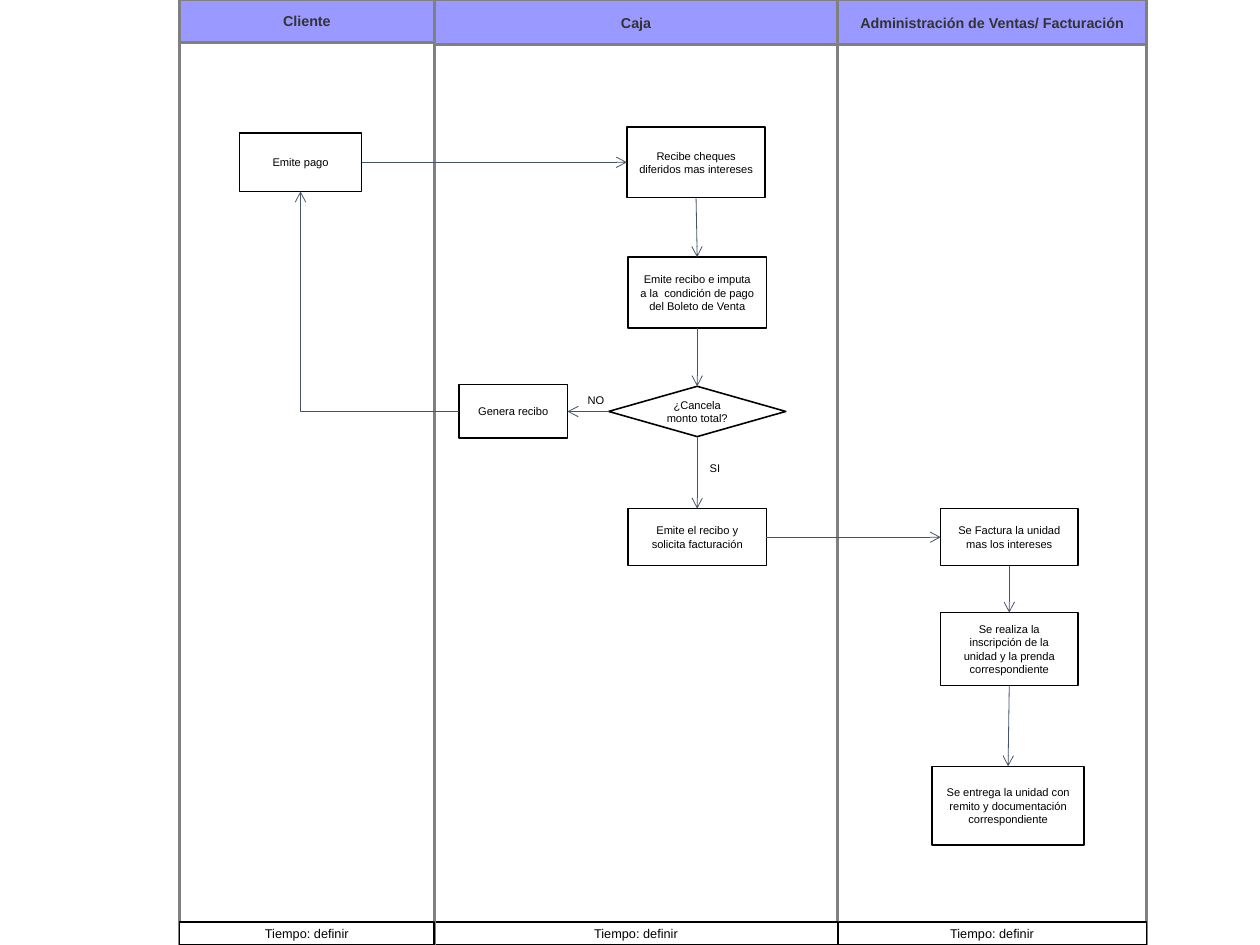
from pptx import Presentation
from pptx.dml.color import RGBColor
from pptx.enum.shapes import MSO_CONNECTOR, MSO_SHAPE
from pptx.enum.text import MSO_ANCHOR, PP_ALIGN
from pptx.oxml.ns import qn
from pptx.util import Cm, Inches, Pt
from lxml.etree import SubElement

WIDE, HIGH = Cm(28), Cm(21)
BLACK = RGBColor(0, 0, 0)
WHITE = RGBColor(255, 255, 255)
GRAY = RGBColor(0x80, 0x80, 0x80)
DARK = RGBColor(0x33, 0x33, 0x33)
LILAC = RGBColor(0x99, 0x99, 0xFF)
SLATE = RGBColor(0x44, 0x54, 0x6A)

# Lane: title, left, right, header height
LANES = [
    ("Administración de Ventas/ Facturación", 7.33, 10.03, 0.39),
    ("Caja", 3.8, 7.33, 0.39),
    ("Cliente", 1.57, 3.8, 0.37),
]
TIME, FOOT = "Tiempo: definir", 0.2

# Centre lines of the step grid
COLS = {"client": 2.63, "receipt": 4.49, "checks": 6.09, "cash": 6.1,
        "sales": 8.83, "exit": 8.82}
ROWS = [1.42, 2.56, 3.6, 4.7, 5.68, 7.05]

# Step: text, column, row, width, height
STEPS = {
    "pay": ("Emite pago", "client", 0, 1.07, 0.51),
    "checks": ("Recibe cheques diferidos mas intereses", "checks", 0, 1.21, 0.62),
    "post": ("Emite recibo e imputa a la  condición de pago del Boleto de Venta",
             "cash", 1, 1.21, 0.62),
    "choice": ("¿Cancela monto total?", "cash", 2, 1.55, 0.44),
    "receipt": ("Genera recibo", "receipt", 2, 0.95, 0.47),
    "request": ("Emite el recibo y solicita facturación", "cash", 3, 1.21, 0.5),
    "bill": ("Se Factura la unidad mas los intereses", "sales", 3, 1.2, 0.5),
    "enroll": ("Se realiza la inscripción de la unidad y la prenda correspondiente",
               "sales", 4, 1.2, 0.64),
    "deliver": ("Se entrega la unidad con remito y documentación correspondiente",
                "exit", 5, 1.33, 0.69),
}

TOP, LEFT, BOTTOM, RIGHT = range(4)
LINKS = [
    ("pay", RIGHT, "checks", LEFT),
    ("checks", BOTTOM, "post", TOP),
    ("post", BOTTOM, "choice", TOP),
    ("choice", LEFT, "receipt", RIGHT),
    ("choice", BOTTOM, "request", TOP),
    ("receipt", LEFT, "pay", BOTTOM),
    ("request", RIGHT, "bill", LEFT),
    ("bill", BOTTOM, "enroll", TOP),
    ("enroll", BOTTOM, "deliver", TOP),
]
# Label: text, left, top, width, height
LABELS = [("SI", 6.11, 3.99, 0.29, 0.2), ("NO", 5, 3.39, 0.43, 0.2)]

STEP = {"size": Pt(7), "bold": False, "name": "Arial"}
TIMES = {**STEP, "size": Pt(8)}
HEAD = {**STEP, "size": Pt(9), "bold": True}
TIGHT = {"margin_left": Inches(0.08), "margin_right": Inches(0.08),
         "margin_top": 0, "margin_bottom": 0}


def write(shape, text, style, color=BLACK, anchor=MSO_ANCHOR.MIDDLE):
    frame = shape.text_frame
    frame.word_wrap = True
    frame.vertical_anchor = anchor
    para = frame.paragraphs[0]
    para.alignment = PP_ALIGN.CENTER
    run = para.add_run()
    run.text = text
    for key, value in style.items():
        setattr(run.font, key, value)
    run.font.color.rgb = color


def draw(shapes, kind, box, fill, line, width):
    shape = shapes.add_shape(kind, *map(Inches, box))
    shape.shadow.inherit = False
    if fill is None:
        shape.fill.background()
    else:
        shape.fill.solid()
        shape.fill.fore_color.rgb = fill
    shape.line.color.rgb = line
    shape.line.width = Pt(width)
    return shape


def add_lane(shapes, title, left, right, head):
    rect, width, high = MSO_SHAPE.RECTANGLE, right - left, HIGH.inches
    bar = draw(shapes, rect, (left, 0, width, head), LILAC, GRAY, 1.7)
    write(bar, title, HEAD, DARK)
    draw(shapes, rect, (left, 0, width, high), None, GRAY, 1.7)
    foot = draw(shapes, rect, (left, high - FOOT, width, FOOT), WHITE, BLACK, 1)
    write(foot, TIME, TIMES)


def add_step(shapes, name, text, col, row, width, height):
    kind = MSO_SHAPE.DIAMOND if name == "choice" else MSO_SHAPE.RECTANGLE
    box = (COLS[col] - width / 2, ROWS[row] - height / 2, width, height)
    shape = draw(shapes, kind, box, WHITE, BLACK, 1)
    write(shape, text, STEP)
    if name == "choice":
        for key, value in TIGHT.items():
            setattr(shape.text_frame, key, value)
    return shape


def link(shapes, start, out, end, into):
    """Join two steps; a change of direction gives a single-bend elbow."""
    bent = out % 2 != into % 2
    kind = MSO_CONNECTOR.ELBOW if bent else MSO_CONNECTOR.STRAIGHT
    line = shapes.add_connector(kind, 0, 0, 0, 0)
    line.begin_connect(start, out)
    line.end_connect(end, into)
    line.line.color.rgb = SLATE
    line.line.width = Pt(0.5)
    props = line._element.spPr
    if bent:
        props.find(qn("a:prstGeom")).set("prst", "bentConnector2")
    SubElement(props.find(qn("a:ln")), qn("a:tailEnd"), type="arrow")
    SubElement(props, qn("a:effectLst"))


def main():
    deck = Presentation()
    deck.slide_width, deck.slide_height = WIDE, HIGH
    shapes = deck.slides.add_slide(deck.slide_layouts[6]).shapes
    for lane in LANES:
        add_lane(shapes, *lane)
    steps = {name: add_step(shapes, name, *step) for name, step in STEPS.items()}
    for start, out, end, into in LINKS:
        link(shapes, steps[start], out, steps[end], into)
    for text, *box in LABELS:
        label = shapes.add_textbox(*map(Inches, box))
        write(label, text, STEP, anchor=MSO_ANCHOR.TOP)
    deck.save("out.pptx")


if __name__ == "__main__":
    main()
